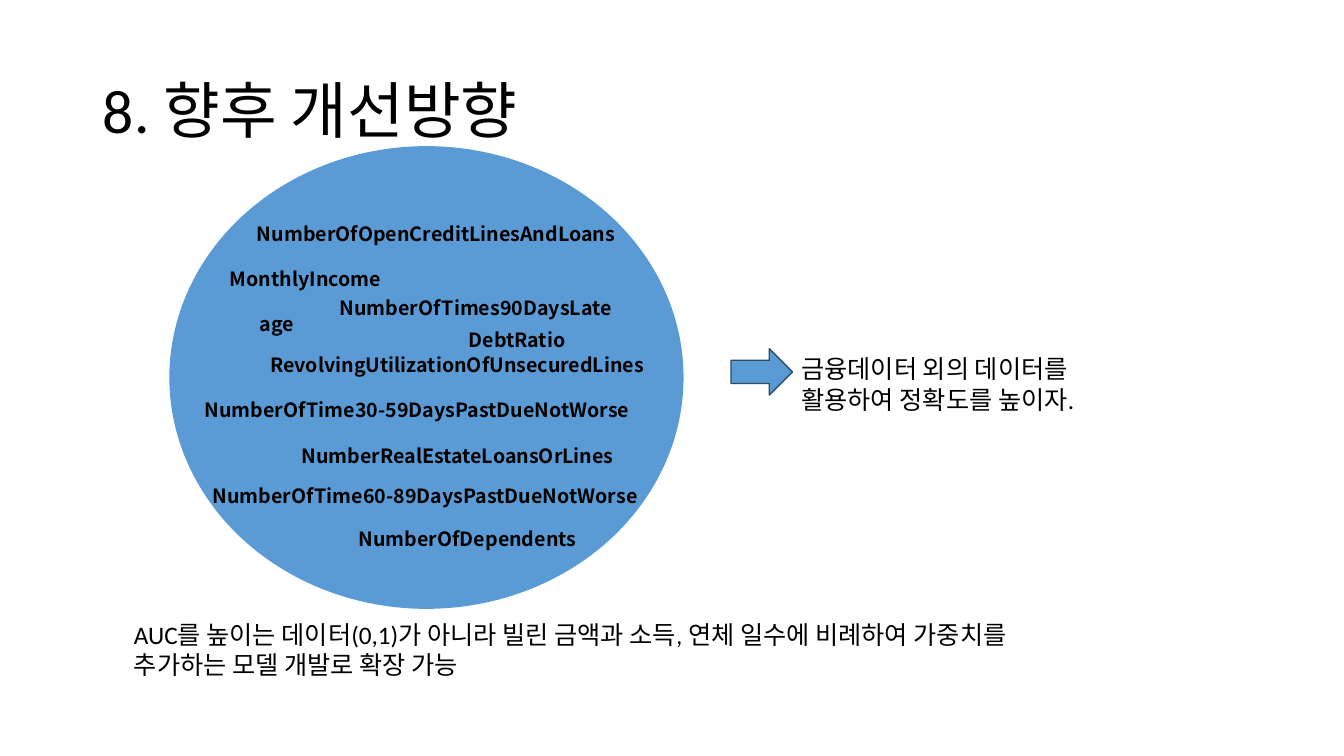
import pptx
import pptx.util
import pptx.dml.color
import pptx.enum.shapes
import pptx.enum.text

PX = 9144  # 100 px to the inch
BLUE = pptx.dml.color.RGBColor(0x5B, 0x9B, 0xD5)
NAVY = pptx.dml.color.RGBColor(0x2D, 0x4D, 0x6A)
BLACK = pptx.dml.color.RGBColor(0, 0, 0)


def px(*lengths):
    """Turn px lengths into EMU."""
    return [pptx.util.Emu(length * PX) for length in lengths]


def write(shape, text, size=18, font="Calibri", bold=False, wrap=True,
          anchor=pptx.enum.text.MSO_ANCHOR.TOP, line_spacing=None):
    frame = shape.text_frame
    frame.word_wrap = wrap
    frame.auto_size = pptx.enum.text.MSO_AUTO_SIZE.NONE
    frame.vertical_anchor = anchor
    paragraph = frame.paragraphs[0]
    paragraph.alignment = pptx.enum.text.PP_ALIGN.LEFT
    paragraph.line_spacing = line_spacing
    run = paragraph.add_run()
    run.text = text
    run.font.name = font
    run.font.size = pptx.util.Pt(size)
    run.font.bold = bold
    run.font.color.rgb = BLACK


presentation = pptx.Presentation()
presentation.slide_width, presentation.slide_height = px(1333, 750)
slide = presentation.slides.add_slide(presentation.slide_layouts[5])

title = slide.shapes.title
title.left, title.top, title.width, title.height = px(92, 40, 1150, 145)
write(title, "8. 향후 개선방향", size=44, line_spacing=0.9,
      anchor=pptx.enum.text.MSO_ANCHOR.MIDDLE)

extension = slide.shapes.add_textbox(*px(123, 609, 979, 71))
write(extension, "AUC를 높이는 데이터(0,1)가 아니라 빌린 금액과 소득, 연체 일수에 비례하여 "
                 "가중치를 추가하는 모델 개발로 확장 가능")

# Financial variables inside the ellipse
variables = slide.shapes.add_group_shape()
ellipse = variables.shapes.add_shape(
    pptx.enum.shapes.MSO_SHAPE.OVAL, *px(168, 145, 510, 459))
ellipse.shadow.inherit = False
ellipse.fill.solid()
ellipse.fill.fore_color.rgb = BLUE
ellipse.line.fill.background()

VARIABLES = [
    ("NumberOfTimes90DaysLate", 327, 289, 298),
    ("NumberOfOpenCreditLinesAndLoans", 245, 215, 388),
    ("MonthlyIncome", 218, 260, 178),
    ("DebtRatio", 455, 320, 209),
    ("NumberOfTime30-59DaysPastDueNotWorse", 193, 390, 564),
    ("age", 248, 305, 57),
    ("RevolvingUtilizationOfUnsecuredLines", 258, 345, 398),
    ("NumberRealEstateLoansOrLines", 289, 435, 468),
    ("NumberOfTime60-89DaysPastDueNotWorse", 201, 475, 611),
    ("NumberOfDependents", 346, 518, 611),
]
for name, left, top, width in VARIABLES:
    label = variables.shapes.add_textbox(*px(left, top, width, 33))
    write(label, name, size=14, font="Noto Sans CJK KR", bold=True)

conclusion = slide.shapes.add_textbox(*px(785, 346, 324, 71))
write(conclusion, "금융데이터 외의 데이터를 활용하여 정확도를 높이자.")

arrow = slide.shapes.add_shape(
    pptx.enum.shapes.MSO_SHAPE.RIGHT_ARROW, *px(725, 346, 61, 46))
arrow.shadow.inherit = False
arrow.fill.solid()
arrow.fill.fore_color.rgb = BLUE
arrow.line.color.rgb = NAVY
arrow.line.width = pptx.util.Pt(1)

presentation.save("out.pptx")
